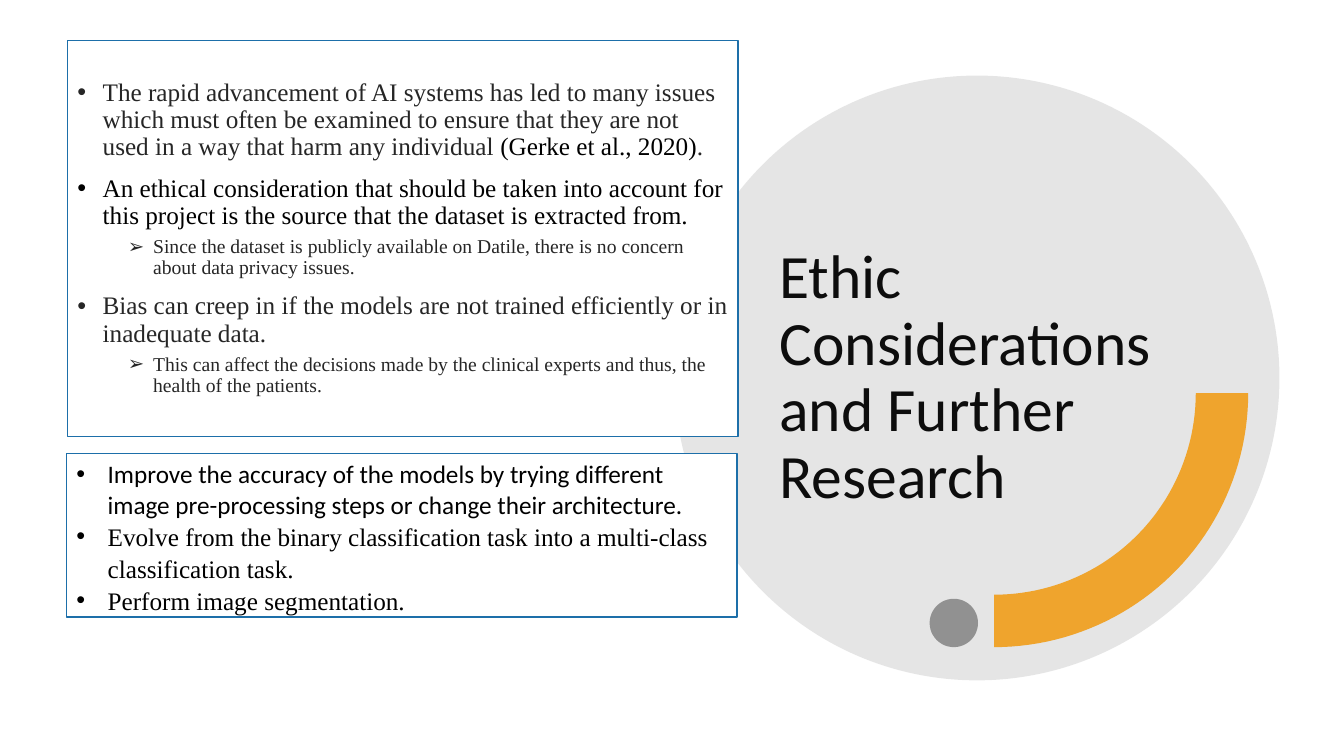
"""Build the slide on ethical considerations and further research."""
import math

import lxml.etree
import pptx
import pptx.dml.color
import pptx.enum.shapes
import pptx.enum.text
import pptx.oxml.ns
import pptx.util

THEME = {
    "serif": "Times New Roman", "sans": "Calibri", "bullet": "Arial",
    "title": 44, "point": 18, "detail": 14,
    "ink": "0D0D0D", "soft": "262626", "black": "000000",
    "paper": "FFFFFF", "border": "1D6FA9",
    "disc": "808080", "dot": "595959", "arc": "F19D19",
}
Inches, Pt = pptx.util.Inches, pptx.util.Pt
qn = pptx.oxml.ns.qn


def color(role):
    return pptx.dml.color.RGBColor.from_string(THEME[role])


def paint(shape, role, opacity):
    shape.shadow.inherit = False
    shape.line.fill.background()
    shape.fill.solid()
    shape.fill.fore_color.rgb = color(role)
    tint = shape.fill._xPr.find(".//" + qn("a:srgbClr"))
    lxml.etree.SubElement(tint, qn("a:alpha")).set("val", str(opacity * 1000))


deck = pptx.Presentation()
deck.slide_width, deck.slide_height = Inches(13.33), Inches(7.5)
slide = deck.slides.add_slide(deck.slide_layouts[5])

for role, opacity, left, top, diameter in [
    ("disc", 20, 6.69, 0.75, 6),
    ("dot", 60, 9.22, 5.94, 0.48),
]:
    circle = slide.shapes.add_shape(
        pptx.enum.shapes.MSO_SHAPE.OVAL,
        Inches(left), Inches(top), Inches(diameter), Inches(diameter))
    paint(circle, role, opacity)

center_x, center_y, outer, inner = 9.86, 3.9, 2.52, 2.0
sweep = [math.radians(degree) for degree in range(0, 91, 2)]
outline = [
    (Inches(center_x + radius * math.cos(angle)), Inches(center_y + radius * math.sin(angle)))
    for radius, angles in [(outer, sweep), (inner, sweep[::-1])]
    for angle in angles
]
arc_builder = slide.shapes.build_freeform(*outline[0], scale=1.0)
arc_builder.add_line_segments(outline[1:], close=True)
paint(arc_builder.convert_to_shape(), "arc", 90)

title = slide.shapes.title
title.left, title.top, title.width, title.height = map(Inches, (7.63, 1.57, 4.44, 4.37))
title.text_frame.text = "Ethic Considerations and Further Research"
title.text_frame.auto_size = pptx.enum.text.MSO_AUTO_SIZE.NONE
title.text_frame.vertical_anchor = pptx.enum.text.MSO_ANCHOR.MIDDLE
heading = title.text_frame.paragraphs[0]
heading.alignment = pptx.enum.text.PP_ALIGN.LEFT
heading.line_spacing = 0.9
heading.font.name, heading.font.size = THEME["sans"], Pt(THEME["title"])
heading.font.color.rgb = color("ink")
title._element.getparent().append(title._element)

STYLES = {
    "point": dict(level=0, indent=0.25, hang=0.25, bullet="•", spacing=0.9, before=10,
                  font="serif", size="point"),
    "detail": dict(level=1, indent=0.75, hang=0.25, bullet="➢", spacing=0.9, before=5,
                   font="serif", size="detail"),
    "next_sans": dict(level=0, indent=0.31, hang=0.31, bullet="•", spacing=1.0, before=0,
                      font="sans", size="point"),
    "next_serif": dict(level=0, indent=0.31, hang=0.31, bullet="•", spacing=1.06, before=0,
                       font="serif", size="point"),
}
ethics = [
    ("point", [
        ("The rapid advancement of AI systems has led to many issues which must often be "
         "examined to ensure that they are not used in a way that harm any individual ", "soft"),
        ("(Gerke et al., 2020)", "black"),
        (".", "soft")]),
    ("point", [("An ethical consideration that should be taken into account for this project "
                "is the source that the dataset is extracted from.", "black")]),
    ("detail", [("Since the dataset is publicly available on Datile, there is no concern "
                 "about data privacy issues.", "soft")]),
    ("point", [("Bias can creep in if the models are not trained efficiently or in "
                "inadequate data.", "soft")]),
    ("detail", [("This can affect the decisions made by the clinical experts and thus, the "
                 "health of the patients.", "soft")]),
]
research = [
    ("next_sans", [("Improve the accuracy of the models by trying different image "
                    "pre-processing steps or change their architecture.", "black")]),
    ("next_serif", [("Evolve from the binary classification task into a multi-class "
                     "classification task.", "black")]),
    ("next_serif", [("Perform image segmentation.", "black")]),
]

for (left, top, width, height), anchor, points in [
    ((0.67, 0.4, 6.65, 3.93), pptx.enum.text.MSO_ANCHOR.MIDDLE, ethics),
    ((0.66, 4.5, 6.65, 1.62), pptx.enum.text.MSO_ANCHOR.TOP, research),
]:
    panel = slide.shapes.add_textbox(Inches(left), Inches(top), Inches(width), Inches(height))
    panel.fill.solid()
    panel.fill.fore_color.rgb = color("paper")
    panel.line.color.rgb = color("border")
    panel.line.width = Pt(1)
    frame = panel.text_frame
    frame.word_wrap = True
    frame.vertical_anchor = anchor
    for number, (kind, pieces) in enumerate(points):
        style = STYLES[kind]
        paragraph = frame.add_paragraph() if number else frame.paragraphs[0]
        paragraph.level = style["level"]
        properties = paragraph._p.get_or_add_pPr()
        properties.set("marL", str(Inches(style["indent"])))
        properties.set("indent", str(-Inches(style["hang"])))
        lxml.etree.SubElement(properties, qn("a:buFont")).set("typeface", THEME["bullet"])
        lxml.etree.SubElement(properties, qn("a:buChar")).set("char", style["bullet"])
        paragraph.line_spacing = style["spacing"]
        paragraph.space_before = Pt(style["before"])
        paragraph.font.name = THEME[style["font"]]
        paragraph.font.size = Pt(THEME[style["size"]])
        if len(pieces) == 1:
            paragraph.font.color.rgb = color(pieces[0][1])
        for words, ink in pieces:
            run = paragraph.add_run()
            run.text = words
            if len(pieces) > 1:
                run.font.color.rgb = color(ink)

deck.save("out.pptx")
